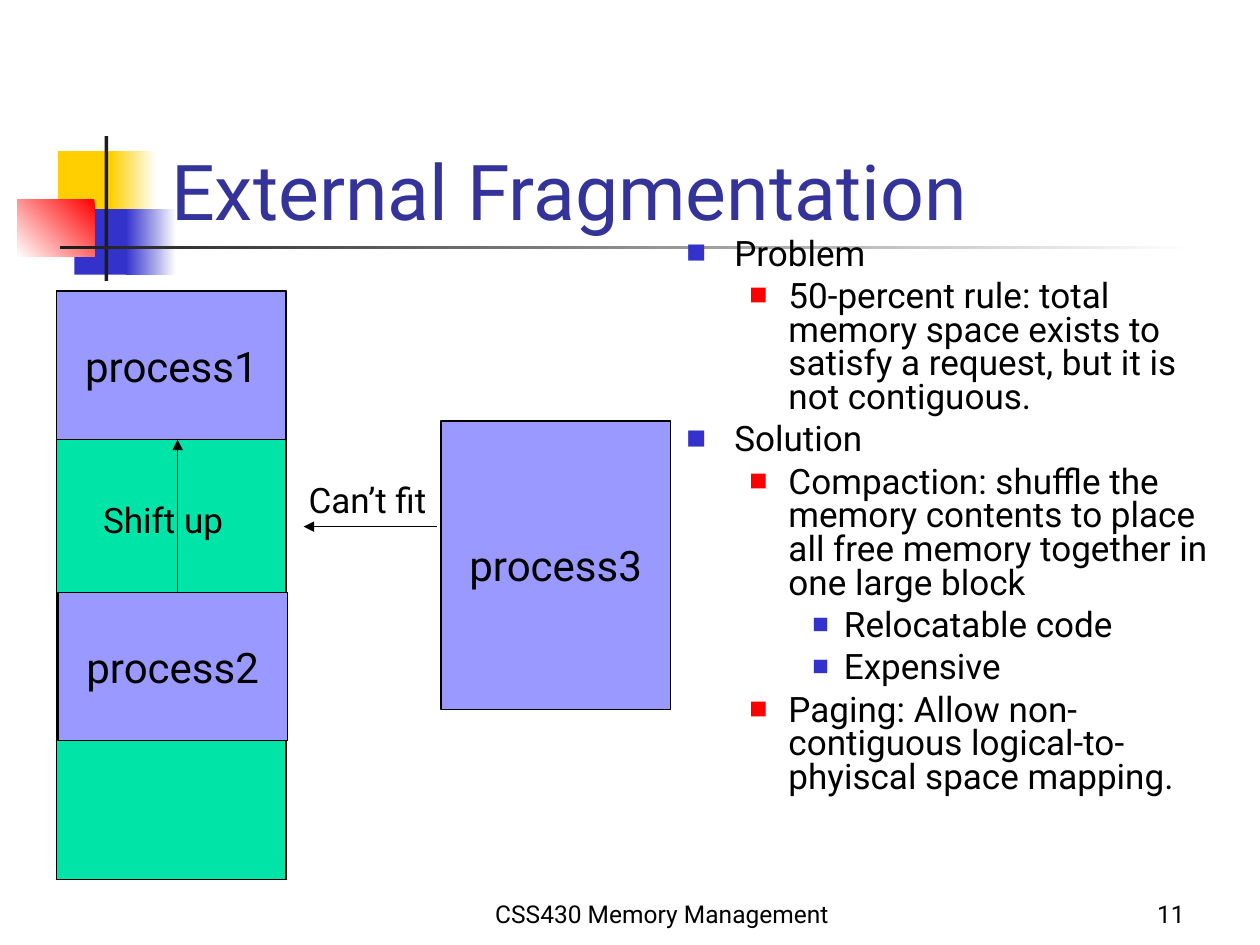
from pptx import Presentation
from pptx.dml.color import RGBColor as RGB
from pptx.enum.shapes import MSO_CONNECTOR as LINK, MSO_SHAPE as SHAPE
from pptx.enum.text import MSO_ANCHOR as ANCHOR, MSO_AUTO_SIZE as FIT, PP_ALIGN as ALIGN
from pptx.oxml.ns import qn
from pptx.util import Inches, Pt
from lxml.etree import SubElement as Sub

THEME = dict(
    font="Roboto", ink="000000", title="333399", white="FFFFFF", gold="FFCF01",
    blue="3333CC", red="FF0000", dark="1C1C1C", free="00E4A8", used="9999FF",
    head=44, name=24, body=20, foot=14, line=0.75,
)

DECOR = [
    ((0.46, 1.2, 0.48, 0.52), ["gold"], 0),
    ((0.88, 1.2, 0.36, 0.52), ["white", "gold"], 180),
    ((0.59, 1.66, 0.46, 0.52), ["blue"], 0),
    ((1, 1.66, 0.4, 0.52), ["white", "blue"], 180),
    ((0.14, 1.58, 0.61, 0.46), ["red", "white"], 225),
    ((0.83, 1.08, 0.03, 1.15), ["dark"], 0),
    ((0.48, 1.95, 9, 0.03), ["white", "dark"], 180),
]
LABELS = [
    ("CSS430 Memory Management", (3.67, 6.92, 3.17, 0.5), "foot", "ink", ALIGN.CENTER),
    ("11", (7.42, 6.92, 2.08, 0.5), "foot", "ink", ALIGN.RIGHT),
    ("External Fragmentation", (1.26, 0.67, 8.52, 1.25), "head", "title", ALIGN.LEFT),
]
POINTS = [
    (0, "Problem"),
    (1, "50-percent rule: total memory space exists to satisfy a request, but it is not contiguous."),
    (0, "Solution"),
    (1, "Compaction: shuffle the memory contents to place all free memory together in one large block"),
    (2, "Relocatable code"),
    (2, "Expensive"),
    (1, "Paging: Allow non-contiguous logical-to-phyiscal space mapping."),
]
LEVELS = [(0.38, 0.38, "blue", 60), (0.81, 0.31, "red", 55), (1.25, 0.25, "blue", 50)]
BLOCKS = [
    ("", 0.45, 2.31, 4.67, "free"),
    ("process1", 0.45, 2.31, 1.18, "used"),
    ("process2", 0.46, 4.7, 1.18, "used"),
    ("process3", 3.5, 3.34, 2.29, "used"),
]
WIDTH = 1.82
MOVES = [
    ("Can’t fit", (2.35, 3.75, 1.19, 0.44), (3.47, 4.18, 2.41, 4.18)),
    ("Shift up", (0.72, 3.91, 1.21, 0.44), (1.41, 4.71, 1.41, 3.49)),
]


def tint(key):
    return RGB.from_string(THEME[key])


def write(para, text, size, color="ink"):
    run = para.add_run()
    run.text = text
    run.font.name = THEME["font"]
    run.font.size = Pt(THEME[size])
    run.font.color.rgb = tint(color)


def add_rect(slide, at, fills, angle=0):
    rect = slide.shapes.add_shape(SHAPE.RECTANGLE, *map(Inches, at))
    rect.shadow.inherit = False
    rect.line.fill.background()
    if len(fills) == 1:
        rect.fill.solid()
        rect.fill.fore_color.rgb = tint(fills[0])
    else:
        rect.fill.gradient()
        rect.fill.gradient_angle = angle
        for stop, key in zip(rect.fill.gradient_stops, fills):
            stop.color.rgb = tint(key)
    return rect


def add_block(slide, text, left, top, height, fill):
    rect = add_rect(slide, (left, top, WIDTH, height), [fill])
    rect.line.color.rgb = tint("ink")
    rect.line.width = Pt(THEME["line"])
    if text:
        frame = rect.text_frame
        frame.word_wrap = False
        frame.vertical_anchor = ANCHOR.MIDDLE
        frame.paragraphs[0].alignment = ALIGN.CENTER
        write(frame.paragraphs[0], text, "name")


def add_text(slide, at, wrap=True):
    frame = slide.shapes.add_textbox(*map(Inches, at)).text_frame
    frame.word_wrap = wrap
    return frame


def add_arrow(slide, ends):
    link = slide.shapes.add_connector(LINK.STRAIGHT, *map(Inches, ends))
    link.line.color.rgb = tint("ink")
    link.line.width = Pt(THEME["line"])
    props = link._element.spPr
    Sub(props.find(qn("a:ln")), qn("a:tailEnd"), type="triangle")
    Sub(props, qn("a:effectLst"))


def add_point(para, level, text, first):
    left, hang, color, size = LEVELS[level]
    props = para._p.get_or_add_pPr()
    props.set("marL", str(Inches(left)))
    props.set("indent", str(-Inches(hang)))
    Sub(Sub(props, qn("a:buClr")), qn("a:srgbClr"), val=THEME[color])
    Sub(props, qn("a:buSzPct"), val=str(size * 1000))
    Sub(props, qn("a:buFont"), typeface=THEME["font"])
    Sub(props, qn("a:buChar"), char="■")
    para.level = level
    para.line_spacing = 0.8
    para.space_before = Pt(0 if first else 5)
    write(para, text, "body")


def main():
    """Build the external fragmentation slide."""
    deck = Presentation()
    deck.slide_width, deck.slide_height = Inches(10), Inches(7.5)
    slide = deck.slides.add_slide(deck.slide_layouts[6])
    for item in DECOR:
        add_rect(slide, *item)
    for text, at, size, color, align in LABELS:
        frame = add_text(slide, at)
        frame.vertical_anchor = ANCHOR.BOTTOM
        frame.paragraphs[0].alignment = align
        write(frame.paragraphs[0], text, size, color)
    frame = add_text(slide, (5.35, 1.85, 4.4, 5.29))
    for num, (level, text) in enumerate(POINTS):
        para = frame.add_paragraph() if num else frame.paragraphs[0]
        add_point(para, level, text, num == 0)
    for block in BLOCKS:
        add_block(slide, *block)
    for text, at, ends in MOVES:
        add_arrow(slide, ends)
        frame = add_text(slide, at, wrap=False)
        frame.auto_size = FIT.SHAPE_TO_FIT_TEXT
        write(frame.paragraphs[0], text, "body")
    deck.save("out.pptx")


if __name__ == "__main__":
    main()
